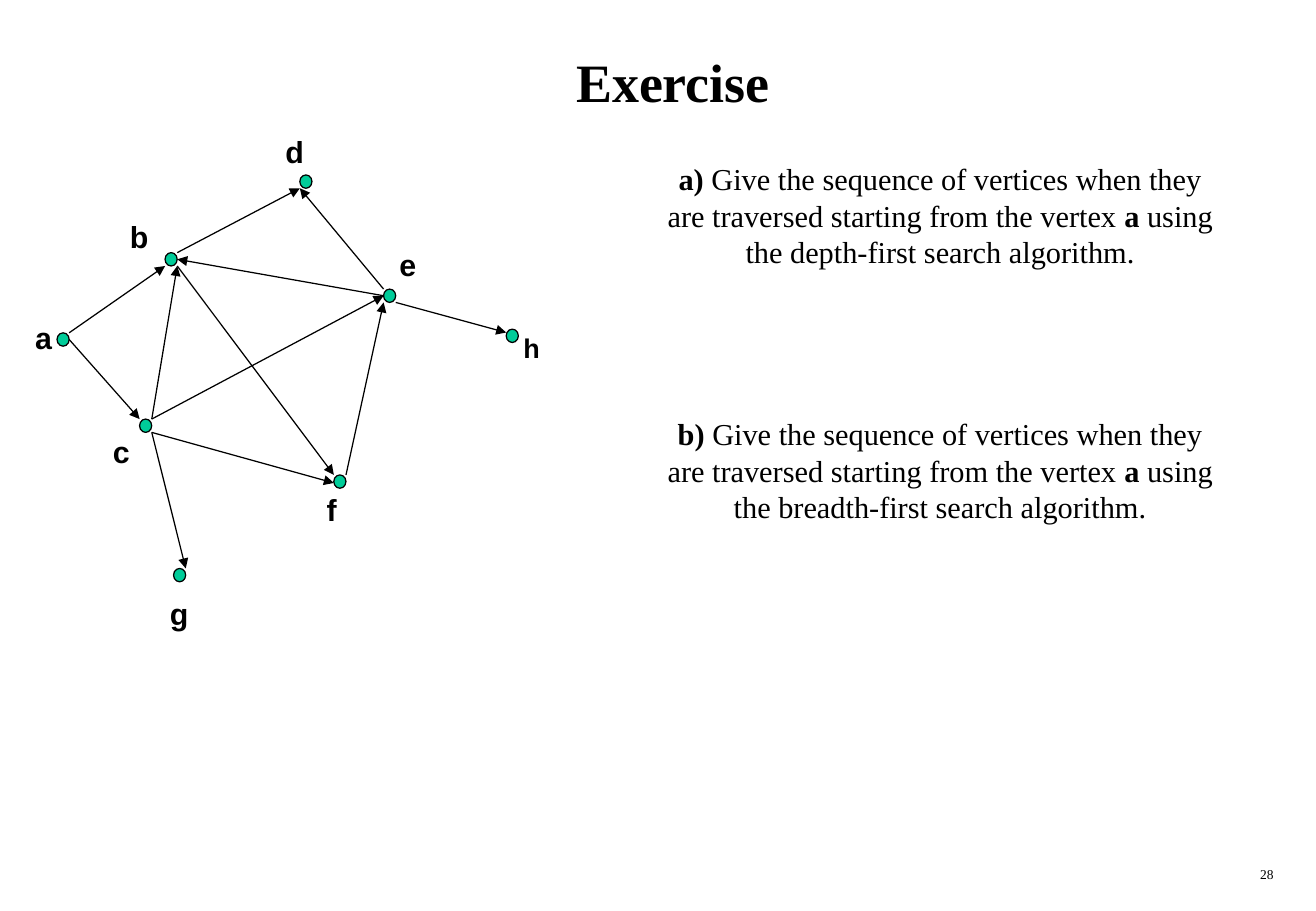
from dataclasses import dataclass

from lxml.etree import SubElement
from pptx import Presentation
from pptx.dml.color import RGBColor
from pptx.enum.shapes import MSO_CONNECTOR, MSO_SHAPE
from pptx.enum.text import MSO_ANCHOR, PP_ALIGN
from pptx.oxml.ns import qn
from pptx.slide import Slide
from pptx.text.text import TextFrame, _Paragraph as Paragraph
from pptx.util import Inches, Pt

COLORS = {"ink": "000000", "node": "00CC99", "paper": "FFFFFF"}
SERIF, SANS = "Times New Roman", "Arial"
NODE_W, NODE_H = 0.1, 0.11

Anchor = tuple[float, float]
TOP_LEFT, TOP_RIGHT = (0, 0), (1, 0)
BOTTOM_LEFT, BOTTOM_RIGHT = (0, 1), (1, 1)
LEFT, RIGHT = (0, 0.5), (1, 0.5)
UPPER_LEFT, LOWER_LEFT = (0, 0.25), (0, 0.6)


@dataclass
class Vertex:
    x: float
    y: float
    label_x: float
    label_y: float
    label_size: int = 18

    def at(self, anchor: Anchor) -> tuple[int, int]:
        return Inches(self.x + anchor[0] * NODE_W), Inches(self.y + anchor[1] * NODE_H)


@dataclass
class Edge:
    start: str
    start_anchor: Anchor
    end: str
    end_anchor: Anchor


@dataclass
class Question:
    mark: str
    method: str
    space_before: float = 0


VERTICES = {
    "a": Vertex(0.47, 2.74, 0.25, 2.61),
    "b": Vertex(1.36, 2.08, 1.03, 1.78),
    "c": Vertex(1.15, 3.45, 0.89, 3.55),
    "d": Vertex(2.47, 1.44, 2.31, 1.08),
    "e": Vertex(3.16, 2.38, 3.25, 2.01),
    "f": Vertex(2.75, 3.91, 2.65, 4.02),
    "g": Vertex(1.43, 4.68, 1.36, 4.88),
    "h": Vertex(4.17, 2.71, 4.27, 2.71, 16),
}

EDGES = [
    Edge("b", TOP_RIGHT, "d", BOTTOM_LEFT),
    Edge("a", TOP_RIGHT, "b", BOTTOM_LEFT),
    Edge("a", RIGHT, "c", TOP_LEFT),
    Edge("e", TOP_LEFT, "d", BOTTOM_LEFT),
    Edge("e", BOTTOM_RIGHT, "h", UPPER_LEFT),
    Edge("b", BOTTOM_RIGHT, "f", TOP_LEFT),
    Edge("c", TOP_RIGHT, "b", BOTTOM_RIGHT),
    Edge("c", BOTTOM_RIGHT, "f", LOWER_LEFT),
    Edge("c", TOP_RIGHT, "e", LEFT),
    Edge("c", BOTTOM_RIGHT, "g", TOP_RIGHT),
    Edge("f", TOP_RIGHT, "e", BOTTOM_LEFT),
    Edge("e", LEFT, "b", RIGHT),
]

QUESTIONS = [Question("a)", "depth-first"), Question("b)", "breadth-first", 86.4)]


def color(name: str) -> RGBColor:
    return RGBColor.from_string(COLORS[name])


def style(p: Paragraph, font: str, size: int, align: PP_ALIGN) -> None:
    p.font.name, p.font.size = font, Pt(size)
    p.font.color.rgb = color("ink")
    p.alignment = align


def add_text_frame(s: Slide, x: float, y: float, w: float, h: float) -> TextFrame:
    tf = s.shapes.add_textbox(Inches(x), Inches(y), Inches(w), Inches(h)).text_frame
    tf.word_wrap = True
    return tf


def add_title(s: Slide, text: str) -> None:
    title = s.shapes.title
    title.left, title.top = Inches(0.42), Inches(0.17)
    title.width, title.height = Inches(10.25), Inches(1)
    tf = title.text_frame
    tf.text = text
    tf.vertical_anchor = MSO_ANCHOR.MIDDLE
    p = tf.paragraphs[0]
    style(p, SERIF, 32, PP_ALIGN.CENTER)
    p.font.bold = True


def add_vertex(s: Slide, name: str, v: Vertex) -> None:
    node = s.shapes.add_shape(
        MSO_SHAPE.OVAL, *v.at(TOP_LEFT), Inches(NODE_W), Inches(NODE_H)
    )
    node.shadow.inherit = False
    node.fill.solid()
    node.fill.fore_color.rgb = color("node")
    node.line.color.rgb = color("ink")
    node.line.width = Pt(0.75)

    tf = add_text_frame(s, v.label_x, v.label_y, 0.78, 0.36)
    tf.margin_left = tf.margin_right = Inches(0.04)
    tf.margin_top = tf.margin_bottom = Inches(0.02)
    p = tf.paragraphs[0]
    p.text = name
    style(p, SANS, v.label_size, PP_ALIGN.LEFT)
    p.font.bold = True


def add_edge(s: Slide, edge: Edge) -> None:
    arrow = s.shapes.add_connector(
        MSO_CONNECTOR.STRAIGHT,
        *VERTICES[edge.start].at(edge.start_anchor),
        *VERTICES[edge.end].at(edge.end_anchor),
    )
    arrow.line.color.rgb = color("ink")
    arrow.line.width = Pt(0.75)
    SubElement(arrow.line._get_or_add_ln(), qn("a:tailEnd"), type="triangle")
    SubElement(arrow._element.spPr, qn("a:effectLst"))


def add_question(p: Paragraph, question: Question) -> None:
    style(p, SERIF, 18, PP_ALIGN.CENTER)
    p.line_spacing = Pt(21.6)
    p.space_before = Pt(question.space_before)
    parts = [
        (question.mark, True),
        (" Give the sequence of vertices when they are traversed"
         " starting from the vertex ", False),
        ("a", True),
        (f" using the {question.method} search algorithm.", False),
    ]
    for text, bold in parts:
        r = p.add_run()
        r.text = text
        r.font.bold = bold


def main() -> None:
    prs = Presentation()
    prs.slide_width, prs.slide_height = Inches(10.84), Inches(7.5)
    s = prs.slides.add_slide(prs.slide_layouts[5])
    s.background.fill.solid()
    s.background.fill.fore_color.rgb = color("paper")

    add_title(s, "Exercise")
    for edge in EDGES:
        add_edge(s, edge)
    for name, vertex in VERTICES.items():
        add_vertex(s, name, vertex)

    tf = add_text_frame(s, 5.33, 1.27, 4.83, 3.1)
    for i, question in enumerate(QUESTIONS):
        add_question(tf.add_paragraph() if i else tf.paragraphs[0], question)

    p = add_text_frame(s, 8.33, 7.08, 2.26, 0.25).paragraphs[0]
    p.text = "28"
    style(p, SERIF, 8, PP_ALIGN.RIGHT)

    prs.save("out.pptx")


if __name__ == "__main__":
    main()
